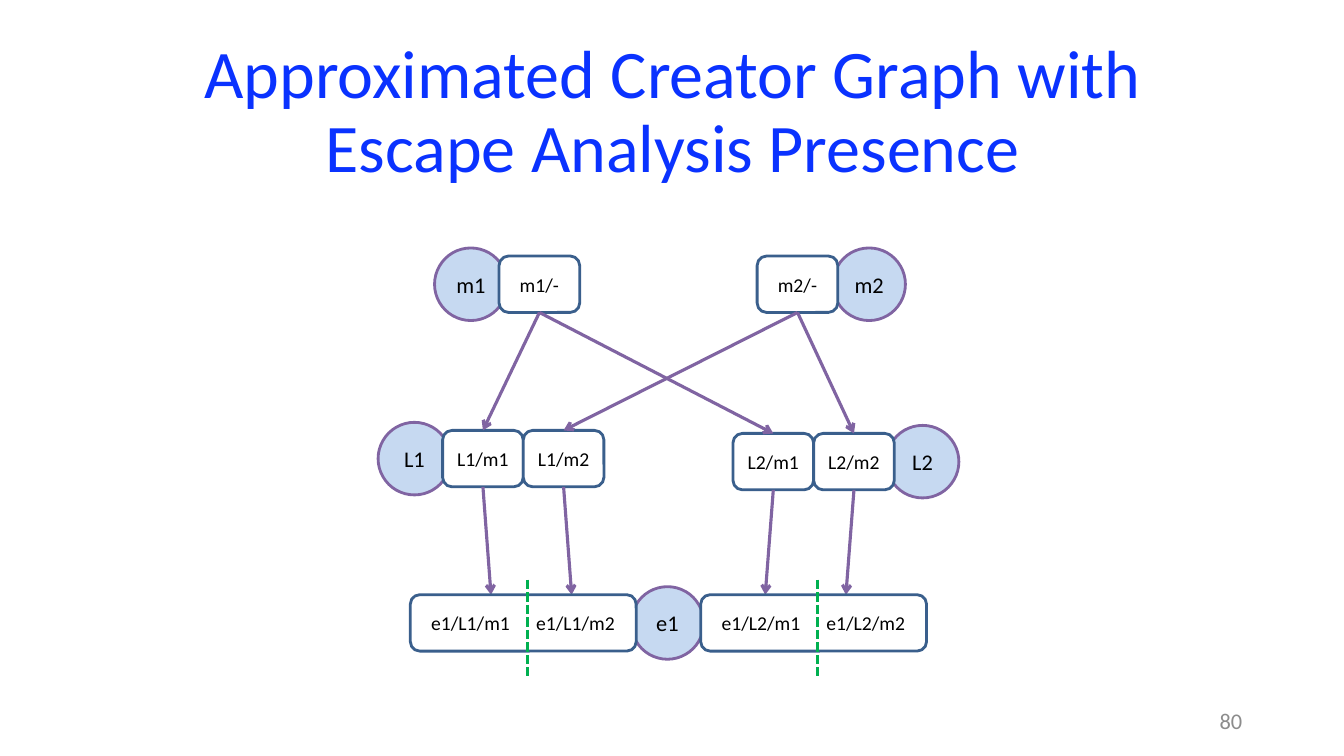
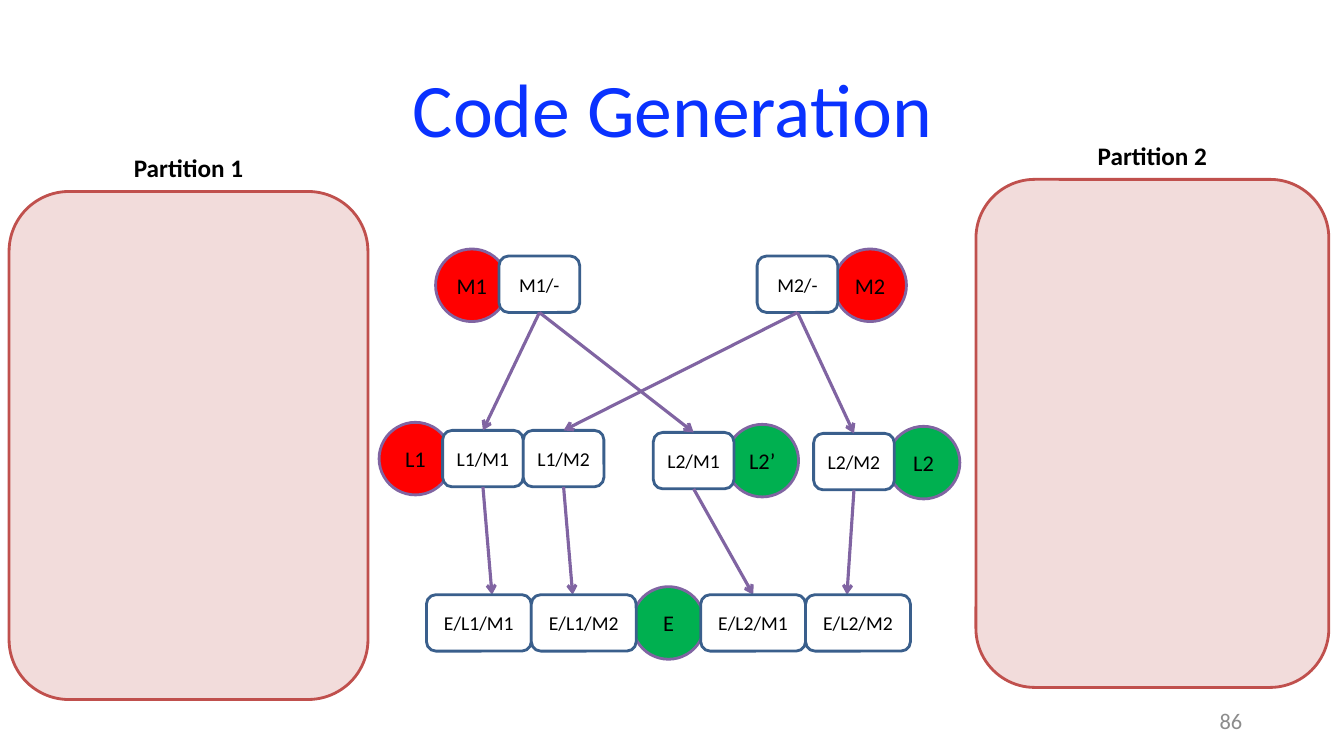
from lxml import etree
from pptx import Presentation
from pptx import util as u
from pptx.dml.color import RGBColor
from pptx.enum import dml, shapes, text
from pptx.oxml import ns

Inches = u.Inches
FONT = "Calibri"
TITLE_BLUE = "0A32FF"
BLACK, WHITE, GREY = "000000", "FFFFFF", "8C8C8C"
PURPLE, NAVY, PALE_BLUE = "8064A2", "3A5F8C", "C6D9F1"
RED, GREEN = "FF0000", "00B050"
PINK, BRICK = "F2DCDB", "C0504D"
ENTITY_SIZE, CONTEXT_WIDTH, CONTEXT_HEIGHT = 0.72, 0.8, 0.56
BOTTOM_ROW = 5.9
TOP_SITE, BOTTOM_SITE = 0, 2


def colour(hex_code):
    return RGBColor.from_string(hex_code)


def write(frame, words, size, hex_code=BLACK, align=text.PP_ALIGN.CENTER,
          anchor=text.MSO_ANCHOR.MIDDLE, bold=False, tab=None):
    frame.word_wrap = True
    frame.auto_size = text.MSO_AUTO_SIZE.NONE
    frame.vertical_anchor = anchor
    line = frame.paragraphs[0]
    line.text = words
    line.alignment = align
    if tab:
        stops = etree.SubElement(line._p.get_or_add_pPr(), ns.qn("a:tabLst"))
        etree.SubElement(stops, ns.qn("a:tab"), pos=str(Inches(tab)), algn="l")
    line.font.name = FONT
    line.font.size = u.Pt(size)
    line.font.bold = bold
    line.font.color.rgb = colour(hex_code)
    return line


def new_slide(deck, title, title_size, number):
    slide = deck.slides.add_slide(deck.slide_layouts[5])
    heading = slide.shapes.title
    heading.left, heading.top = Inches(0.92), Inches(0.4)
    heading.width, heading.height = Inches(11.5), Inches(1.45)
    write(heading.text_frame, title, title_size, TITLE_BLUE).line_spacing = 0.9
    label(slide, number, 9.42, 6.95, 3, 16, hex_code=GREY, align=text.PP_ALIGN.RIGHT)
    return slide


def label(slide, words, x, y, width, size, **style):
    box = slide.shapes.add_textbox(*map(Inches, (x, y, width, 0.4)))
    write(box.text_frame, words, size, **style)


def outlined(slide, preset, x, y, width, height, fill, line):
    shape = slide.shapes.add_shape(preset, *map(Inches, (x, y, width, height)))
    shape.shadow.inherit = False
    shape.fill.solid()
    shape.fill.fore_color.rgb = colour(fill)
    shape.line.color.rgb = colour(line)
    shape.line.width = u.Pt(2)
    return shape


def node(slide, preset, words, x, y, width, height, fill, line, size,
         inset=0, **style):
    shape = outlined(slide, preset, x, y, width, height, fill, line)
    frame = shape.text_frame
    frame.margin_left, frame.margin_right = Inches(inset), 0
    write(frame, words, size, **style)
    return shape


def entity(slide, words, x, y, fill):
    node(slide, shapes.MSO_SHAPE.OVAL, words, x, y, ENTITY_SIZE, ENTITY_SIZE,
         fill, PURPLE, 16)


def context(slide, words, x, y, width=CONTEXT_WIDTH, **style):
    return node(slide, shapes.MSO_SHAPE.ROUNDED_RECTANGLE, words, x, y, width,
                CONTEXT_HEIGHT, WHITE, NAVY, 14, **style)


def context_pair(slide, first, second, x):
    context(slide, f"{first}\t{second}", x, BOTTOM_ROW, 2.24, inset=0.18,
            align=text.PP_ALIGN.LEFT, tab=1.04)


def connector(slide, start, end, hex_code):
    line = slide.shapes.add_connector(
        shapes.MSO_CONNECTOR.STRAIGHT, *map(Inches, (*start, *end)))
    line.line.color.rgb = colour(hex_code)
    line.line.width = u.Pt(2.25)
    etree.SubElement(line._element.spPr, ns.qn("a:effectLst"))
    return line


def arrow(slide, source, target=None, target_x=0):
    link = connector(slide, (0, 0), (target_x, BOTTOM_ROW), PURPLE)
    link.begin_connect(source, BOTTOM_SITE)
    if target is not None:
        link.end_connect(target, TOP_SITE)
    etree.SubElement(link.line._get_or_add_ln(), ns.qn("a:tailEnd"), type="arrow")


def divider(slide, x):
    line = connector(slide, (x, 5.75), (x, 6.71), GREEN)
    line.line.dash_style = dml.MSO_LINE.SQUARE_DOT


def creator_graph(slide, entities, root, split_at, bottom_ends):
    for words, x, y, fill in entities:
        entity(slide, words, x, y, fill)
    spots = {
        f"{root}1/-": (4.95, 2.54), f"{root}2/-": (7.51, 2.54),
        f"L1/{root}1": (4.39, 4.27), f"L1/{root}2": (5.19, 4.27),
        f"L2/{root}1": split_at, f"L2/{root}2": (8.07, 4.3),
    }
    boxes = [context(slide, words, *spot) for words, spot in spots.items()]
    roots, middle = boxes[:2], boxes[2:]
    for index, box in enumerate(middle):
        arrow(slide, roots[index % 2], box)
    for box, end_x in zip(middle, bottom_ends):
        arrow(slide, box, target_x=end_x)


def partition(slide, words, x, y, width):
    label(slide, words, x, y - 0.44, width, 18, bold=True,
          anchor=text.MSO_ANCHOR.TOP)
    outlined(slide, shapes.MSO_SHAPE.ROUNDED_RECTANGLE, x, y, width, 5.04, PINK, BRICK)


def escape_analysis_slide(deck):
    slide = new_slide(
        deck, "Approximated Creator Graph with Escape Analysis Presence", 48.6, "80")
    entities = [
        ("m1", 4.31, 2.46, PALE_BLUE), ("m2", 8.26, 2.46, PALE_BLUE),
        ("L1", 3.75, 4.19, PALE_BLUE), ("L2", 8.79, 4.22, PALE_BLUE),
        ("e1", 6.26, 5.82, PALE_BLUE),
    ]
    creator_graph(slide, entities, "m", (7.27, 4.3), (4.87, 5.67, 7.59, 8.39))
    for creator, x in (("L1", 4.07), ("L2", 6.95)):
        context_pair(slide, f"e1/{creator}/m1", f"e1/{creator}/m2", x)
        divider(slide, x + 1.16)


def code_generation_slide(deck):
    slide = new_slide(deck, "Code Generation", 54, "86")
    partition(slide, "Partition 1", 0.09, 1.9, 3.56)
    partition(slide, "Partition 2", 9.68, 1.78, 3.5)
    entities = [
        ("M1", 4.32, 2.47, RED), ("M2", 8.27, 2.47, RED),
        ("L1", 3.76, 4.19, RED), ("L2’", 7.2, 4.21, GREEN),
        ("L2", 8.8, 4.23, GREEN), ("E", 6.27, 5.82, GREEN),
    ]
    creator_graph(slide, entities, "M", (6.48, 4.29), (4.88, 5.68, 7.47, 8.4))
    for creator, x in (("L1", 4.23), ("L2", 6.95)):
        for index, root in enumerate(("M1", "M2")):
            context(slide, f"E/{creator}/{root}", x + index * 1.04, BOTTOM_ROW, 1.04)


def main():
    deck = Presentation()
    deck.slide_width, deck.slide_height = Inches(13.33), Inches(7.5)
    escape_analysis_slide(deck)
    code_generation_slide(deck)
    deck.save("out.pptx")


if __name__ == "__main__":
    main()
